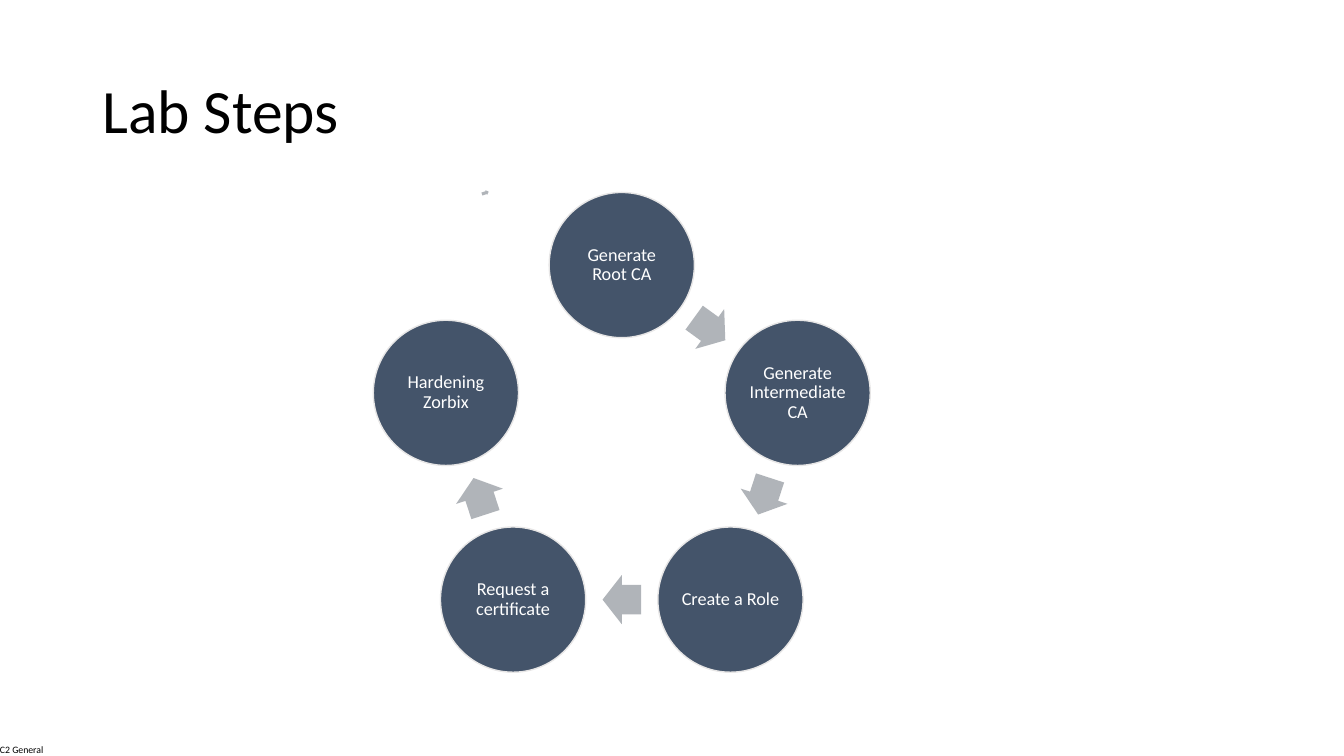
from dataclasses import dataclass
from math import cos, pi, radians, sin

from pptx import Presentation
from pptx.dml.color import RGBColor
from pptx.enum.shapes import MSO_SHAPE
from pptx.enum.text import MSO_ANCHOR, MSO_AUTO_SIZE, PP_ALIGN
from pptx.shapes.autoshape import Shape
from pptx.slide import Slide
from pptx.text.text import TextFrame
from pptx.util import Cm, Pt

FONT = "Calibri"
BLACK = RGBColor(0x00, 0x00, 0x00)
WHITE = RGBColor(0xFF, 0xFF, 0xFF)
SLATE = RGBColor(0x44, 0x54, 0x6A)
PALE = RGBColor(0xE7, 0xE6, 0xE6)
GREY = RGBColor(0xB0, 0xB4, 0xB9)

# Cycle geometry in centimetres
CENTER_X, CENTER_Y = 15.67, 11.34
RADIUS = 4.66
DIAMETER = 3.66
STEPS = [
    "Generate Root CA",
    "Generate Intermediate CA",
    "Create a Role",
    "Request a certificate",
    "Hardening Zorbix",
]


@dataclass
class Arrow:
    x: float
    y: float
    width: float
    height: float
    rotation: float


def cycle_point(angle: float, radius: float) -> tuple[float, float]:
    """Point on the cycle, clockwise in degrees from the top."""
    turn = radians(angle)
    return CENTER_X + radius * sin(turn), CENTER_Y - radius * cos(turn)


def format_text(frame: TextFrame, text: str, size: float, color: RGBColor,
                alignment: PP_ALIGN, margin_x: float, margin_y: float) -> None:
    frame.text = text
    frame.margin_left = frame.margin_right = Cm(margin_x)
    frame.margin_top = frame.margin_bottom = Cm(margin_y)
    frame.vertical_anchor = MSO_ANCHOR.MIDDLE
    para = frame.paragraphs[0]
    para.alignment = alignment
    para.line_spacing = 0.9
    font = para.runs[0].font
    font.name, font.size, font.color.rgb = FONT, Pt(size), color


def add_centered(slide: Slide, kind: MSO_SHAPE, x: float, y: float,
                 width: float, height: float, fill: RGBColor) -> Shape:
    shape = slide.shapes.add_shape(
        kind, Cm(x - width / 2), Cm(y - height / 2), Cm(width), Cm(height))
    shape.shadow.inherit = False
    shape.fill.solid()
    shape.fill.fore_color.rgb = fill
    return shape


def add_step(slide: Slide, text: str, angle: float) -> None:
    x, y = cycle_point(angle, RADIUS)
    circle = add_centered(slide, MSO_SHAPE.OVAL, x, y, DIAMETER, DIAMETER, SLATE)
    circle.line.color.rgb = PALE
    circle.line.width = Pt(1)
    circle.text_frame.word_wrap = True
    format_text(circle.text_frame, text, 13, WHITE, PP_ALIGN.CENTER, 0.05, 0.05)


def add_arrow(slide: Slide, arrow: Arrow) -> None:
    shape = add_centered(slide, MSO_SHAPE.RIGHT_ARROW, arrow.x, arrow.y,
                         arrow.width, arrow.height, GREY)
    shape.adjustments[0] = 0.6
    shape.adjustments[1] = 0.5
    shape.rotation = arrow.rotation
    shape.line.fill.background()


def main() -> None:
    deck = Presentation()
    deck.slide_width, deck.slide_height = Cm(33.87), Cm(19.05)
    slide = deck.slides.add_slide(deck.slide_layouts[5])

    # Title
    title = slide.shapes.title
    title.left, title.top, title.width, title.height = (
        Cm(2.33), Cm(1.01), Cm(29.21), Cm(3.68))
    title.text_frame.auto_size = MSO_AUTO_SIZE.NONE
    format_text(title.text_frame, "Lab Steps", 44, BLACK, PP_ALIGN.LEFT, 0.25, 0.13)

    # Steps, each followed by an arrow halfway to the next one
    step_angle = 360 / len(STEPS)
    arrow_radius = RADIUS * cos(pi / len(STEPS))
    for index, text in enumerate(STEPS):
        add_step(slide, text, index * step_angle)
        if index < len(STEPS) - 1:
            angle = (index + 0.5) * step_angle
            x, y = cycle_point(angle, arrow_radius)
            add_arrow(slide, Arrow(x, y, 0.97, 1.24, angle))

    # Small closing arrow
    add_arrow(slide, Arrow(12.23, 4.86, 0.18, 0.13, 340.6))

    # Classification label
    label = slide.shapes.add_textbox(Cm(0), Cm(18.75), Cm(1.17), Cm(0.3))
    label.text_frame.word_wrap = False
    format_text(label.text_frame, "C2 General", 7, BLACK, PP_ALIGN.LEFT, 0, 0)
    label.text_frame.paragraphs[0].line_spacing = 1.0

    deck.save("out.pptx")


if __name__ == "__main__":
    main()
